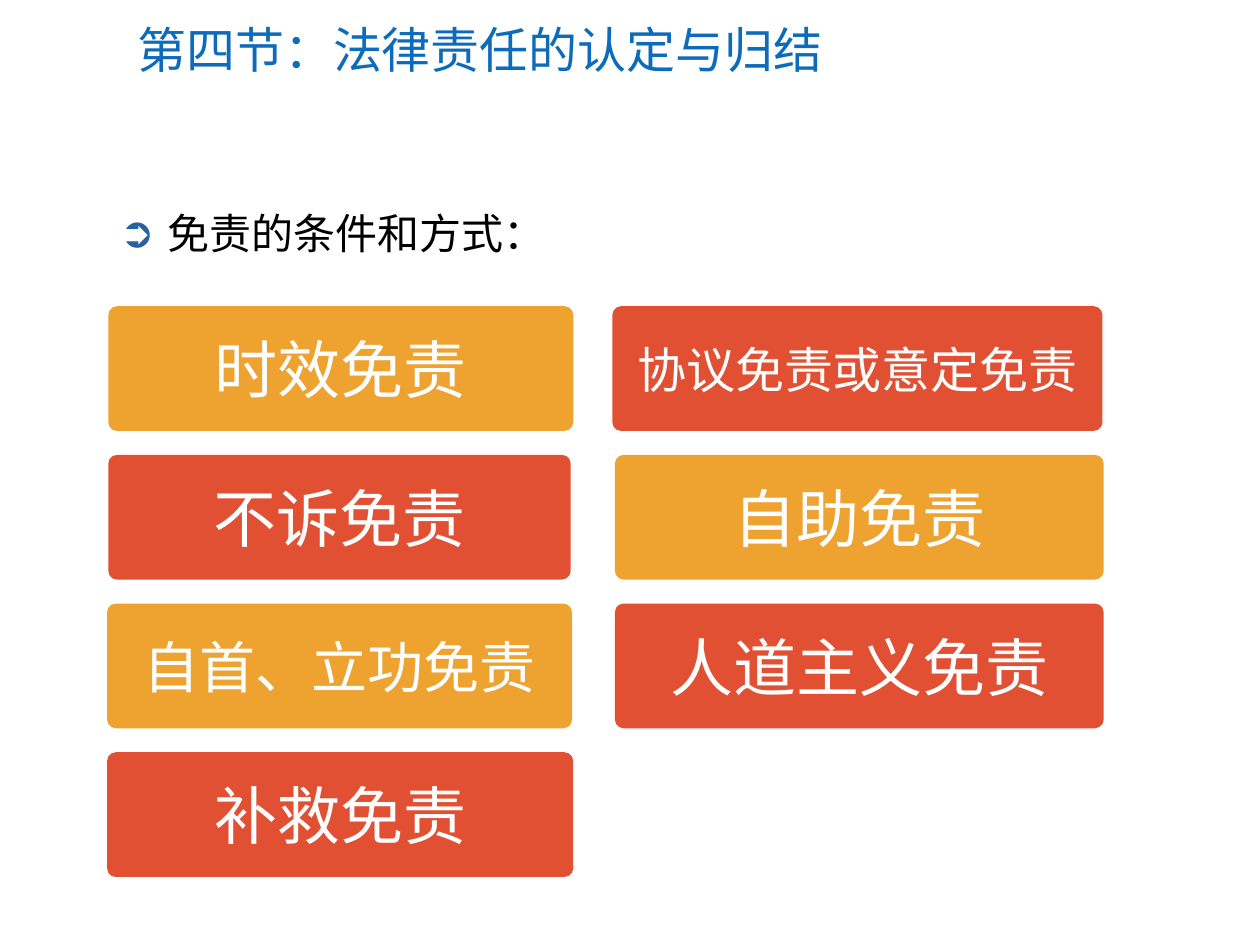
from pptx import Presentation
from pptx.dml.color import RGBColor
from pptx.enum.shapes import MSO_SHAPE
from pptx.enum.text import MSO_ANCHOR, PP_ALIGN
from pptx.oxml import parse_xml
from pptx.oxml.ns import nsdecls
from pptx.util import Inches, Pt

BLUE = RGBColor(0x0C, 0x6B, 0xBA)
BLACK = RGBColor(0, 0, 0)
WHITE = RGBColor(0xFF, 0xFF, 0xFF)
AMBER = RGBColor(0xEE, 0xA2, 0x30)
RED = RGBColor(0xE1, 0x50, 0x32)
BULLET = RGBColor(0x28, 0x60, 0xA4)


class Deck:
    """Holds the style and the current slide."""

    font = "Calibri"

    def __init__(self, prs):
        self.s = prs.slides.add_slide(prs.slide_layouts[1])

    def place(self, sp, box):
        for name, value in zip(("left", "top", "width", "height"), box):
            setattr(sp, name, Inches(value))

    def set_text(self, sp, text, size, color, align, anchor, before=0):
        tf = sp.text_frame
        tf.word_wrap = True
        tf.vertical_anchor = anchor
        p = tf.paragraphs[0]
        p.alignment = align
        p.space_before = Pt(size * before)
        r = p.add_run()
        r.text = text
        style = {"name": self.font, "size": Pt(size), "bold": False}
        for name, value in style.items():
            setattr(r.font, name, value)
        r.font.color.rgb = color
        return p

    def title(self, text, box, size):
        sp = self.s.shapes.title
        self.place(sp, box)
        self.set_text(sp, text, size, BLUE, PP_ALIGN.LEFT, MSO_ANCHOR.MIDDLE)

    def bullet(self, text, box, size, char="➲", indent=0.38):
        sp = self.s.placeholders[1]
        self.place(sp, box)
        p = self.set_text(sp, text, size, BLACK, PP_ALIGN.LEFT, MSO_ANCHOR.TOP, 0.2)
        pPr = p._p.get_or_add_pPr()
        pPr.set("marL", str(Inches(indent)))
        pPr.set("indent", str(-Inches(indent)))
        ns = nsdecls("a")
        pPr.append(parse_xml(f'<a:buClr {ns}><a:srgbClr val="{BULLET}"/></a:buClr>'))
        pPr.append(parse_xml(f'<a:buChar {ns} char="{char}"/>'))

    def card(self, text, box, size, fill):
        sp = self.s.shapes.add_shape(MSO_SHAPE.ROUNDED_RECTANGLE, *map(Inches, box))
        sp.adjustments[0] = 0.07
        sp.shadow.inherit = False
        sp.fill.solid()
        sp.fill.fore_color.rgb = fill
        sp.line.fill.background()
        self.set_text(sp, text, size, WHITE, PP_ALIGN.CENTER, MSO_ANCHOR.MIDDLE, 0.2)


COLUMNS = [
    [("时效免责", 36, 0.86, 3.69), ("不诉免责", 36, 0.86, 3.67),
     ("自首、立功免责", 32, 0.85, 3.69), ("补救免责", 36, 0.85, 3.7)],
    [("协议免责或意定免责", 28, 4.86, 3.89), ("自助免责", 36, 4.88, 3.88),
     ("人道主义免责", 36, 4.88, 3.88)],
]
TOP, GAP, HEIGHT = 2.43, 0.19, 0.99

prs = Presentation()
prs.slide_width, prs.slide_height = Inches(10), Inches(7.5)
deck = Deck(prs)
deck.title("第四节：法律责任的认定与归结", (0.99, 0.1, 8.72, 0.58), 28)
deck.bullet("免责的条件和方式：", (0.85, 1.6, 7.93, 0.62), 24)
for col, cards in enumerate(COLUMNS):
    for row, (text, size, left, width) in enumerate(cards):
        fill = (AMBER, RED)[(row + col) % 2]
        deck.card(text, (left, TOP + row * (HEIGHT + GAP), width, HEIGHT), size, fill)
prs.save("out.pptx")
